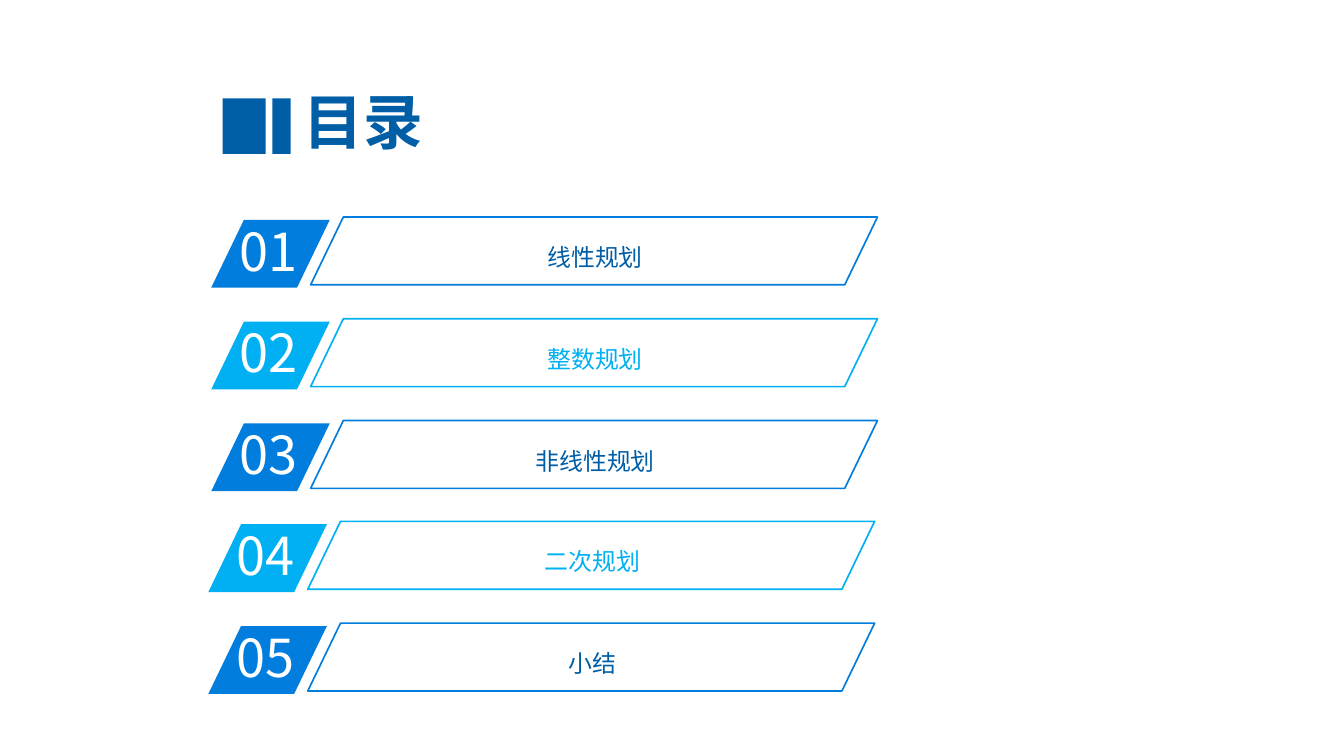
from lxml.etree import SubElement
from pptx import Presentation
from pptx.dml.color import RGBColor
from pptx.enum.shapes import MSO_SHAPE
from pptx.enum.text import MSO_ANCHOR, PP_ALIGN
from pptx.oxml.ns import qn
from pptx.util import Inches, Pt

# Content
HEADING = "目录"
CHAPTERS = ["线性规划", "整数规划", "非线性规划", "二次规划", "小结"]

COLORS = {"navy": "005EA6", "blue": "007DDD", "sky": "00B0F2", "white": "FFFFFF"}
# (badge and outline, chapter name), alternating by row
ROW_COLORS = [("blue", "navy"), ("sky", "sky")]
FONT = "Noto Sans CJK SC"

# Layout in inches
ROW_LEFT, ROW_TOP, ROW_PITCH, ROW_HEIGHT = 2.21, 2.3, 1.065, 0.71
BADGE_WIDTH, OUTLINE_WIDTH, OUTLINE_OFFSET = 1.24, 5.93, 1.04
SLANT = 0.482
LOWER_ROWS_START, LOWER_ROWS_SHIFT = 3, (-0.03, -0.01)
HEADING_BARS = [(2.33, 0.45), (2.85, 0.19)]  # left, width

deck = Presentation()
deck.slide_width, deck.slide_height = Inches(14.06), Inches(7.91)
slide = deck.slides.add_slide(deck.slide_layouts[5])


def rgb(color):
    return RGBColor.from_string(COLORS[color])


def write(frame, words, size, color, align, bold=False):
    frame.text = words
    frame.word_wrap = True
    paragraph = frame.paragraphs[0]
    paragraph.alignment = align
    run = paragraph.runs[0]
    run.font.size, run.font.bold = Pt(size), bold
    run.font.color.rgb = rgb(color)
    run.font.name = FONT
    SubElement(run.font._element, qn("a:ea")).set("typeface", FONT)
    return paragraph


def add_panel(kind, box, fill=None, line=None):
    panel = slide.shapes.add_shape(kind, *map(Inches, box))
    panel.shadow.inherit = False
    if kind == MSO_SHAPE.PARALLELOGRAM:
        panel.adjustments[0] = SLANT
    if fill:
        panel.fill.solid()
        panel.fill.fore_color.rgb = rgb(fill)
    else:
        panel.fill.background()
    if line:
        panel.line.color.rgb = rgb(line)
        panel.line.width = Pt(1.25)
    else:
        panel.line.fill.background()


def add_words(box, *style):
    return write(slide.shapes.add_textbox(*map(Inches, box)).text_frame, *style)


# Heading with its two bars
heading = slide.shapes.title
heading.left, heading.top = Inches(2.07), Inches(0.88)
heading.width, heading.height = Inches(3.47), Inches(0.76)
heading.text_frame.vertical_anchor = MSO_ANCHOR.MIDDLE
write(heading.text_frame, HEADING, 45, "navy", PP_ALIGN.CENTER, True).space_before = Pt(0)
for bar_left, bar_width in HEADING_BARS:
    add_panel(MSO_SHAPE.RECTANGLE, (bar_left, 1.03, bar_width, 0.58), fill="navy")

# Chapter rows: numbered badge, outline and name
for index, chapter in enumerate(CHAPTERS):
    accent, name_color = ROW_COLORS[index % 2]
    shift_x, shift_y = LOWER_ROWS_SHIFT if index >= LOWER_ROWS_START else (0, 0)
    left = ROW_LEFT + shift_x
    top = ROW_TOP + index * ROW_PITCH + shift_y
    outline_left = left + OUTLINE_OFFSET

    add_panel(MSO_SHAPE.PARALLELOGRAM, (left, top, BADGE_WIDTH, ROW_HEIGHT), fill=accent)
    add_words((left + 0.2, top - 0.06, 1.18, 0.76),
              f"{index + 1:02d}", 39.4, "white", PP_ALIGN.LEFT)
    add_panel(MSO_SHAPE.PARALLELOGRAM,
              (outline_left, top - 0.03, OUTLINE_WIDTH, ROW_HEIGHT), line=accent)
    name = add_words((outline_left + 0.8, top + 0.04, 4.35, 0.49),
                     chapter, 18, name_color, PP_ALIGN.CENTER)
    name.line_spacing = 1.5

deck.save("out.pptx")
